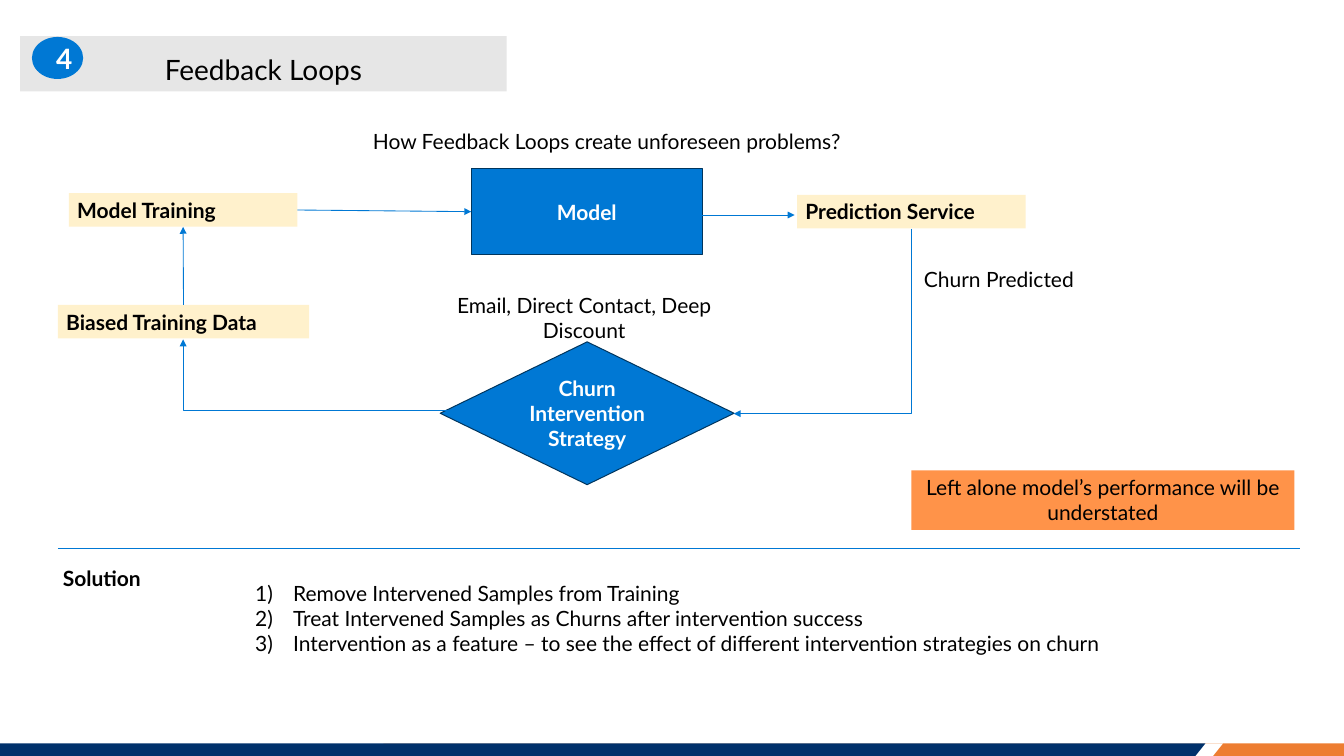
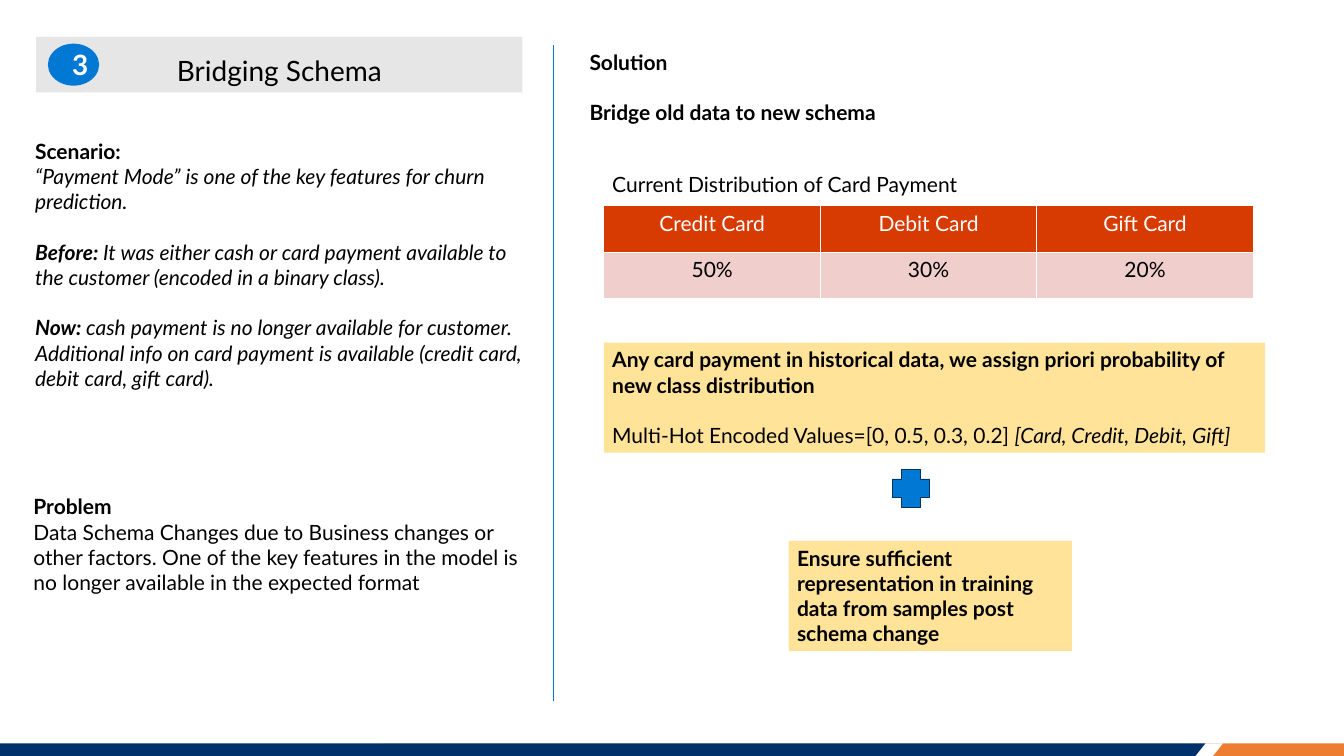
from pptx import Presentation
from pptx.dml.color import RGBColor
from pptx.enum.shapes import MSO_CONNECTOR, MSO_SHAPE
from pptx.enum.text import MSO_ANCHOR, PP_ALIGN
from pptx.oxml.ns import qn
from pptx.util import Inches, Pt
from lxml.etree import SubElement

FONT = "Lato"
BLACK = RGBColor(0x00, 0x00, 0x00)
WHITE = RGBColor(0xFF, 0xFF, 0xFF)
BLUE = RGBColor(0x00, 0x78, 0xD4)
DARK_BLUE = RGBColor(0x00, 0x35, 0x5D)
NAVY = RGBColor(0x00, 0x31, 0x6B)
FOOTER_ORANGE = RGBColor(0xED, 0x7D, 0x31)
GREY = RGBColor(0xE6, 0xE6, 0xE6)
CREAM = RGBColor(0xFF, 0xF1, 0xCC)
YELLOW = RGBColor(0xFF, 0xE3, 0x99)
ORANGE = RGBColor(0xFF, 0x93, 0x49)
RED = RGBColor(0xD8, 0x3B, 0x01)
PINK = RGBColor(0xF0, 0xCE, 0xCC)
LINE_GAP = Pt(21.6)


def add_box(page, place, paragraphs, fill=None, kind=MSO_SHAPE.RECTANGLE, outline=None,
            color=BLACK, size=18, align=PP_ALIGN.LEFT, anchor=MSO_ANCHOR.TOP, inset=(0.1, 0.05)):
    lengths = [Inches(value) for value in place]
    if fill is None:
        box = page.shapes.add_textbox(*lengths)
    else:
        box = page.shapes.add_shape(kind, *lengths)
        box.shadow.inherit = False
        box.fill.solid()
        box.fill.fore_color.rgb = fill
        if outline is None:
            box.line.fill.background()
        else:
            box.line.color.rgb = outline
            box.line.width = Pt(0.85)
    frame = box.text_frame
    frame.word_wrap = True
    frame.vertical_anchor = anchor
    frame.margin_left = frame.margin_right = Inches(inset[0])
    frame.margin_top = frame.margin_bottom = Inches(inset[1])
    for index, spans in enumerate(paragraphs):
        para = frame.add_paragraph() if index else frame.paragraphs[0]
        para.alignment = align
        for text, style in spans:
            span = para.add_run()
            span.text = text
            span.font.name = FONT
            span.font.size = Pt(size)
            span.font.color.rgb = color
            span.font.bold = "b" in style
            span.font.italic = "i" in style
    return box


def add_line(page, start, end, arrow=True, kind=MSO_CONNECTOR.STRAIGHT):
    line = page.shapes.add_connector(kind, *[Inches(value) for value in start + end])
    line.line.color.rgb = BLUE
    line.line.width = Pt(0.75)
    if arrow:
        SubElement(line.line._get_or_add_ln(), qn("a:tailEnd"), type="triangle")
    SubElement(line._element.spPr, qn("a:effectLst"))
    return line


deck = Presentation()
deck.slide_width = Inches(16)
deck.slide_height = Inches(9)

FOOTER_BANDS = [
    (FOOTER_ORANGE, [(16, 9), (16, 8.85), (4.57, 8.85), (4.39, 9)]),
    (WHITE, [(0, 8.85), (0, 9), (14.44, 9), (14.56, 8.85)]),
    (NAVY, [(0, 8.85), (0, 9), (14.23, 9), (14.35, 8.85)]),
]
HEADERS = [
    ("4", "Feedback Loops", (0.24, 0.43), (0.38, 0.44)),
    ("3", "Bridging Schema", (0.43, 0.44), (0.57, 0.52)),
]
pages = []
for number, title, bar_corner, badge_corner in HEADERS:
    page = deck.slides.add_slide(deck.slide_layouts[6])
    pages.append(page)
    for color, corners in FOOTER_BANDS:
        points = [(Inches(x), Inches(y)) for x, y in corners]
        builder = page.shapes.build_freeform(*points[0])
        builder.add_line_segments(points[1:])
        band = builder.convert_to_shape()
        band.shadow.inherit = False
        band.fill.solid()
        band.fill.fore_color.rgb = color
        band.line.fill.background()
    bar = add_box(page, bar_corner + (5.79, 0.66), [[(title, "")]], GREY, size=24,
                  align=PP_ALIGN.CENTER, anchor=MSO_ANCHOR.BOTTOM, inset=(0.12, 0.06))
    bar.text_frame.paragraphs[0].line_spacing = 0.9
    add_box(page, badge_corner + (0.61, 0.5), [[(number, "b")]], BLUE, MSO_SHAPE.OVAL, color=WHITE,
            size=24, align=PP_ALIGN.CENTER, anchor=MSO_ANCHOR.MIDDLE, inset=(0.2, 0.16))
loops_page, schema_page = pages

add_line(loops_page, (0.69, 6.53), (15.48, 6.53), arrow=False)
add_box(loops_page, (0.65, 6.68, 8.3, 0.71), [[("Solution", "b")]])
solutions = add_box(loops_page, (2.94, 6.86, 10.41, 1.01), [
    [("Remove Intervened Samples from Training", "")],
    [("Treat Intervened Samples as Churns after intervention success", "")],
    [("Intervention as a feature – to see the effect of different intervention strategies on churn", "")],
])
for para in solutions.text_frame.paragraphs:
    properties = para._p.get_or_add_pPr()
    properties.set("marL", str(Inches(0.45)))
    properties.set("indent", str(-Inches(0.45)))
    SubElement(properties, qn("a:buFont"), typeface="+mj-lt")
    SubElement(properties, qn("a:buAutoNum"), type="arabicParenR")

add_box(loops_page, (9.49, 2.32, 2.72, 0.4), [[("Prediction Service", "b")]], CREAM)
training = add_box(loops_page, (0.82, 2.3, 2.72, 0.4), [[("Model Training", "b")]], CREAM)
biased = add_box(loops_page, (0.69, 3.63, 2.99, 0.4), [[("Biased Training Data", "b")]], CREAM)
model = add_box(loops_page, (5.61, 2.01, 2.75, 1.02), [[("Model", "b")]], BLUE, outline=DARK_BLUE,
                color=WHITE, align=PP_ALIGN.CENTER, anchor=MSO_ANCHOR.MIDDLE)
add_box(loops_page, (5.24, 4.07, 3.5, 1.7), [[("Churn Intervention Strategy", "b")]], BLUE,
        MSO_SHAPE.DIAMOND, DARK_BLUE, WHITE, align=PP_ALIGN.CENTER, anchor=MSO_ANCHOR.MIDDLE)

training_to_model = add_line(loops_page, (3.54, 2.5), (5.61, 2.52))
training_to_model.begin_connect(training, 3)
training_to_model.end_connect(model, 1)
biased_to_training = add_line(loops_page, (2.18, 3.63), (2.18, 2.7))
biased_to_training.begin_connect(biased, 0)
biased_to_training.end_connect(training, 2)
add_line(loops_page, (8.36, 2.56), (9.46, 2.56))

for start, end, degrees in [((8.69, 2.77), (10.89, 4.88), 90), ((2.18, 4.04), (5.44, 4.89), 180)]:
    elbow = add_line(loops_page, start, end, kind=MSO_CONNECTOR.ELBOW)
    outline = elbow._element.spPr
    outline.find(qn("a:xfrm")).set("rot", str(degrees * 60000))
    outline.find(qn("a:prstGeom")).set("prst", "bentConnector2")

add_box(loops_page, (10.9, 3.12, 2.39, 0.4), [[("Churn Predicted", "")]])
add_box(loops_page, (10.85, 5.6, 4.56, 0.71),
        [[("Left alone model’s performance will be understated", "")]], ORANGE, align=PP_ALIGN.CENTER)
add_box(loops_page, (4.87, 3.43, 4.17, 0.71), [[("Email, Direct Contact, Deep Discount", "")]],
        align=PP_ALIGN.CENTER, anchor=MSO_ANCHOR.MIDDLE)
add_box(loops_page, (4.34, 1.48, 8.38, 0.41), [[("How Feedback Loops create unforeseen problems?", "")]])

add_box(schema_page, (0.3, 5.83, 6, 1.62), [
    [("Problem", "b")],
    [("Data Schema Changes due to Business changes or other factors. One of the key features "
      "in the model is no longer available in the expected format", "")],
])
scenario = add_box(schema_page, (0.32, 1.6, 6, 3.43), [
    [("Scenario:", "b")],
    [("“Payment Mode” is one of the key features for churn prediction.", "i")],
    [("Before: ", "bi"),
     ("It was either cash or card payment available to the customer (encoded in a binary class).", "i")],
    [("Now: ", "bi"),
     ("cash payment is no longer available for customer. Additional info on card payment "
      "is available (credit card, debit card, gift card).", "i")],
])
solution = add_box(schema_page, (6.92, 0.54, 8.3, 1.01),
                   [[("Solution", "b")], [("Bridge old data to new schema", "b")]])
encoding = add_box(schema_page, (7.19, 4.08, 7.87, 1.31), [
    [("Any card payment in historical data, we assign priori probability of new class distribution", "b")],
    [("Multi-Hot Encoded Values=[0, 0.5, 0.3, 0.2] ", ""), ("[Card, Credit, Debit, Gift]", "i")],
], YELLOW)
for box, first_spaced in [(scenario, 2), (solution, 1), (encoding, 1)]:
    for para in box.text_frame.paragraphs[first_spaced:]:
        para.space_before = LINE_GAP

add_box(schema_page, (7.19, 1.99, 9.25, 0.4), [[("Current Distribution of Card Payment", "")]])
CARD_ROWS = [
    (["Credit Card", "Debit Card", "Gift Card"], RED, WHITE),
    (["50%", "30%", "20%"], PINK, BLACK),
]
table = schema_page.shapes.add_table(2, 3, Inches(7.19), Inches(2.45), Inches(7.73), Inches(1.1)).table
for row, (texts, fill, color) in enumerate(CARD_ROWS):
    for column, text in enumerate(texts):
        cell = table.cell(row, column)
        cell.text = text
        cell.margin_left = cell.margin_right = Inches(0.12)
        cell.margin_top = cell.margin_bottom = Inches(0.06)
        for side in ("L", "R", "T", "B"):
            border = SubElement(cell._tc.get_or_add_tcPr(), qn("a:ln" + side), w=str(Pt(1)))
            SubElement(SubElement(border, qn("a:solidFill")), qn("a:srgbClr"), val=str(WHITE))
        cell.fill.solid()
        cell.fill.fore_color.rgb = fill
        para = cell.text_frame.paragraphs[0]
        para.alignment = PP_ALIGN.CENTER
        font = para.runs[0].font
        font.name = FONT
        font.size = Pt(18)
        font.bold = False
        font.color.rgb = color

add_box(schema_page, (10.62, 5.59, 0.45, 0.45), [], BLUE, MSO_SHAPE.CROSS, DARK_BLUE)
add_box(schema_page, (9.39, 6.44, 3.37, 1.31),
        [[("Ensure sufficient representation in training data from samples post schema change", "b")]], YELLOW)
add_line(schema_page, (6.59, 8.34), (6.59, 0.54), arrow=False)

deck.save("out.pptx")
